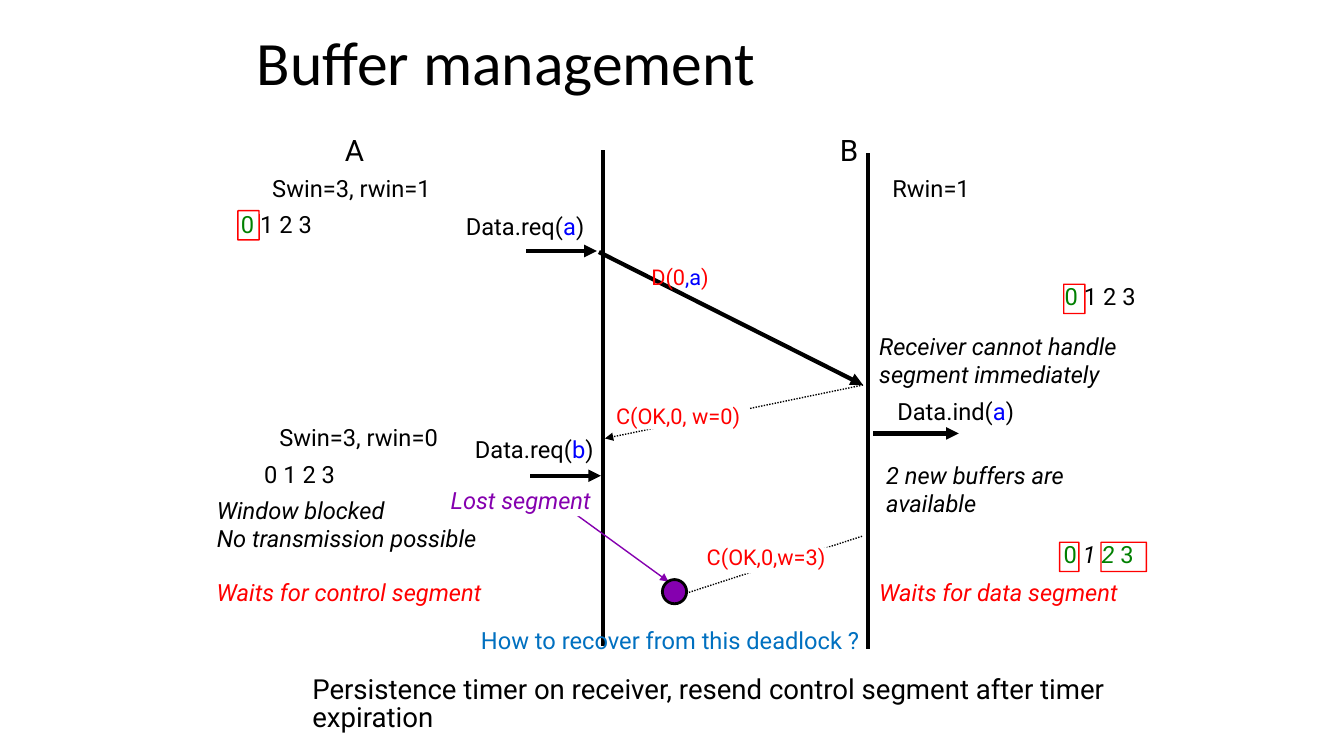
from lxml import etree
from pptx import Presentation
from pptx.dml.color import RGBColor
from pptx.enum.dml import MSO_LINE
from pptx.enum.shapes import MSO_CONNECTOR, MSO_SHAPE
from pptx.enum.text import MSO_ANCHOR
from pptx.oxml.ns import qn
from pptx.util import Inches, Pt

STRAIGHT = MSO_CONNECTOR.STRAIGHT
RECT, ROUNDED, OVAL = MSO_SHAPE.RECTANGLE, MSO_SHAPE.ROUNDED_RECTANGLE, MSO_SHAPE.OVAL
MIDDLE, TOP = MSO_ANCHOR.MIDDLE, MSO_ANCHOR.TOP
DOTTED = MSO_LINE.ROUND_DOT
BLACK, WHITE, RED, GREEN = "000000", "FFFFFF", "FF0000", "008000"
BLUE, SKY, PURPLE = "0000FF", "0070C0", "8500AF"
BODY, SEGMENT, HOST = 16.9, 15.5, 21.1
TIGHT, LOOSE = 0.84, 0.97

# Columns and rows of the time sequence diagram
A_LINE, B_LINE = 5.98, 8.61
A_NOTES, B_NOTES = 2.15, 8.72
HOST_ROW, WINDOW_ROW, SENT_ROW, RECEIVED_ROW = 1.37, 1.77, 2.49, 3.82
DELIVERED_ROW, SECOND_ROW, WAIT_ROW = 4.3, 4.72, 5.75
FRAME_HEIGHT = 0.29

deck = Presentation()
deck.slide_width, deck.slide_height = Inches(13.33), Inches(7.5)
page = deck.slides.add_slide(deck.slide_layouts[6])


def color(hex_code):
    return RGBColor.from_string(hex_code)


def add_text(left, top, width, paragraphs, size=BODY, spacing=TIGHT, italic=False,
             wrap=False, font="Roboto", height=None, inset=0.0, anchor=MIDDLE):
    """Each paragraph is a list of (text, colour) or (text, colour, italic)."""
    height = height or len(paragraphs) * size * spacing / 60
    box = page.shapes.add_textbox(Inches(left), Inches(top), Inches(width), Inches(height))
    frame = box.text_frame
    frame.word_wrap, frame.vertical_anchor = wrap, anchor
    frame.margin_left = frame.margin_right = Inches(inset)
    frame.margin_top = frame.margin_bottom = Inches(inset / 2)
    for index, pieces in enumerate(paragraphs):
        para = frame.paragraphs[0] if index == 0 else frame.add_paragraph()
        para.line_spacing = spacing
        for text, hex_code, *slant in pieces:
            span = para.add_run()
            span.text = text
            span.font.name, span.font.size = font, Pt(size)
            span.font.italic = slant[0] if slant else italic
            span.font.color.rgb = color(hex_code)


# Title
add_text(2.45, 0, 8.58, [[("Buffer management", BLACK)]], size=44, font="Calibri",
         height=1.32, inset=0.1, wrap=True)

# Time lines, service primitives, data and control segments
lines = [
    (A_LINE, 1.49, A_LINE, 6.41, 3, BLACK, False, False),
    (B_LINE, 1.52, B_LINE, 6.44, 3, BLACK, False, False),
    (8.66, DELIVERED_ROW, 9.51, DELIVERED_ROW, 3, BLACK, False, True),
    (5.26, SECOND_ROW, 5.96, SECOND_ROW, 3, BLACK, False, True),
    (5.94, 2.5, 8.56, RECEIVED_ROW, 3, BLACK, False, True),
    (5.22, SENT_ROW, 5.92, SENT_ROW, 3, BLACK, False, True),
    (8.56, RECEIVED_ROW, 6, 4.35, 1, BLACK, True, True),
    (8.55, 5.32, 6.7, 5.92, 1, BLACK, True, True),
    (5.68, 5.08, 6.63, 5.77, 1, PURPLE, False, True),
]
for x1, y1, x2, y2, weight, hex_code, dotted, arrow in lines:
    link = page.shapes.add_connector(STRAIGHT, Inches(x1), Inches(y1), Inches(x2), Inches(y2))
    link.line.width = Pt(weight)
    link.line.color.rgb = color(hex_code)
    if dotted:
        link.line.dash_style = DOTTED
    properties = link._element.spPr
    if arrow:
        etree.SubElement(properties.find(qn("a:ln")), qn("a:tailEnd"), type="triangle")
    etree.SubElement(properties, qn("a:effectLst"))

# White label backgrounds, lost segment, window frames
shapes = [
    (RECT, 6.11, 4.04, 1.32, 0.22, WHITE, None, 0),
    (RECT, 7.01, 5.43, 1.34, 0.26, WHITE, None, 0),
    (RECT, 4.47, 4.83, 1.41, 0.29, WHITE, None, 0),
    (OVAL, 6.57, 5.75, 0.24, 0.24, PURPLE, BLACK, 2),
]
for left, top, width in [(10.55, 2.82, 0.21), (2.36, 2.09, 0.21),
                         (10.92, 5.38, 0.45), (10.51, 5.38, 0.19)]:
    shapes.append((ROUNDED, left, top, width, FRAME_HEIGHT, None, RED, 1))
for kind, left, top, width, height, fill, outline, weight in shapes:
    shape = page.shapes.add_shape(kind, Inches(left), Inches(top), Inches(width), Inches(height))
    shape.shadow.inherit = False
    if kind == ROUNDED:
        shape.adjustments[0] = 0.01
    if fill:
        shape.fill.solid()
        shape.fill.fore_color.rgb = color(fill)
    else:
        shape.fill.background()
    if outline:
        shape.line.color.rgb = color(outline)
        shape.line.width = Pt(weight)
    else:
        shape.line.fill.background()

# Hosts
for left, host in [(3.42, "A"), (8.33, "B")]:
    add_text(left, HOST_ROW, 0.2, [[(host, BLACK)]], size=HOST)

# Service primitives
for left, top, name, data in [(4.62, 2.15, "Data.req(", "a"), (4.71, 4.36, "Data.req(", "b"),
                              (8.9, 3.98, "Data.ind(", "a")]:
    add_text(left, top, 1.19, [[(name, BLACK), (data, BLUE), (")", BLACK)]])

# Segment labels
add_text(6.46, 2.66, 0.6, [[("D(0", RED), (",a", BLUE), (")", RED)]], size=SEGMENT)
add_text(6.11, 4.04, 1.32, [[("C(OK,0, w=0)", RED)]], size=SEGMENT)
add_text(7.01, 5.44, 1.26, [[("C(OK,0,w=3)", RED)]], size=SEGMENT)

# Window states
for left, top, width, state in [(2.7, WINDOW_ROW, 1.61, "Swin=3, rwin=1"),
                                (8.85, WINDOW_ROW, 0.79, "Rwin=1"),
                                (2.77, 4.24, 1.61, "Swin=3, rwin=0"),
                                (2.62, 4.61, 0.78, "0 1 2 3")]:
    add_text(left, top, width, [[(state, BLACK)]])
for left, top in [(2.39, 2.13), (10.56, 2.84)]:
    add_text(left, top, 0.79, [[("0 ", GREEN), ("1 2 3", BLACK)]])
add_text(10.55, 5.4, 0.78, [[("0 ", GREEN), ("1", BLACK, True), (" 2", GREEN, True),
                             (" 3", GREEN)]])

# Remarks in italics
for left, top, width, rows, hex_code, wrap, height, anchor in [
    (B_NOTES, 3.3, 2.79, ["Receiver cannot handle segment immediately"], BLACK, True, 0.57, MIDDLE),
    (8.79, 4.58, 2.87, ["2 new buffers are", "available"], BLACK, True, 0.57, MIDDLE),
    (4.47, 4.84, 1.41, ["Lost segment"], PURPLE, False, 0.27, MIDDLE),
    (A_NOTES, 4.94, 2.62, ["Window blocked", "No transmission possible"], BLACK, False, 0.55, TOP),
    (A_NOTES, WAIT_ROW, 2.66, ["Waits for control segment"], RED, False, 0.28, TOP),
    (B_NOTES, WAIT_ROW, 2.78, ["Waits for data segment"], RED, True, 0.28, TOP),
]:
    add_text(left, top, width, [[(row, hex_code)] for row in rows], spacing=LOOSE,
             italic=True, wrap=wrap, height=height, anchor=anchor)

# Question and answer
add_text(4.77, 6.25, 3.76, [[("How to recover from this deadlock ?", SKY)]])
add_text(3, 6.67, 8.9, [[("Persistence timer on receiver, resend control segment after timer "
                         "expiration", BLACK)]], size=19.7, wrap=True, height=0.66,
         inset=0.1, anchor=TOP)

deck.save("out.pptx")
